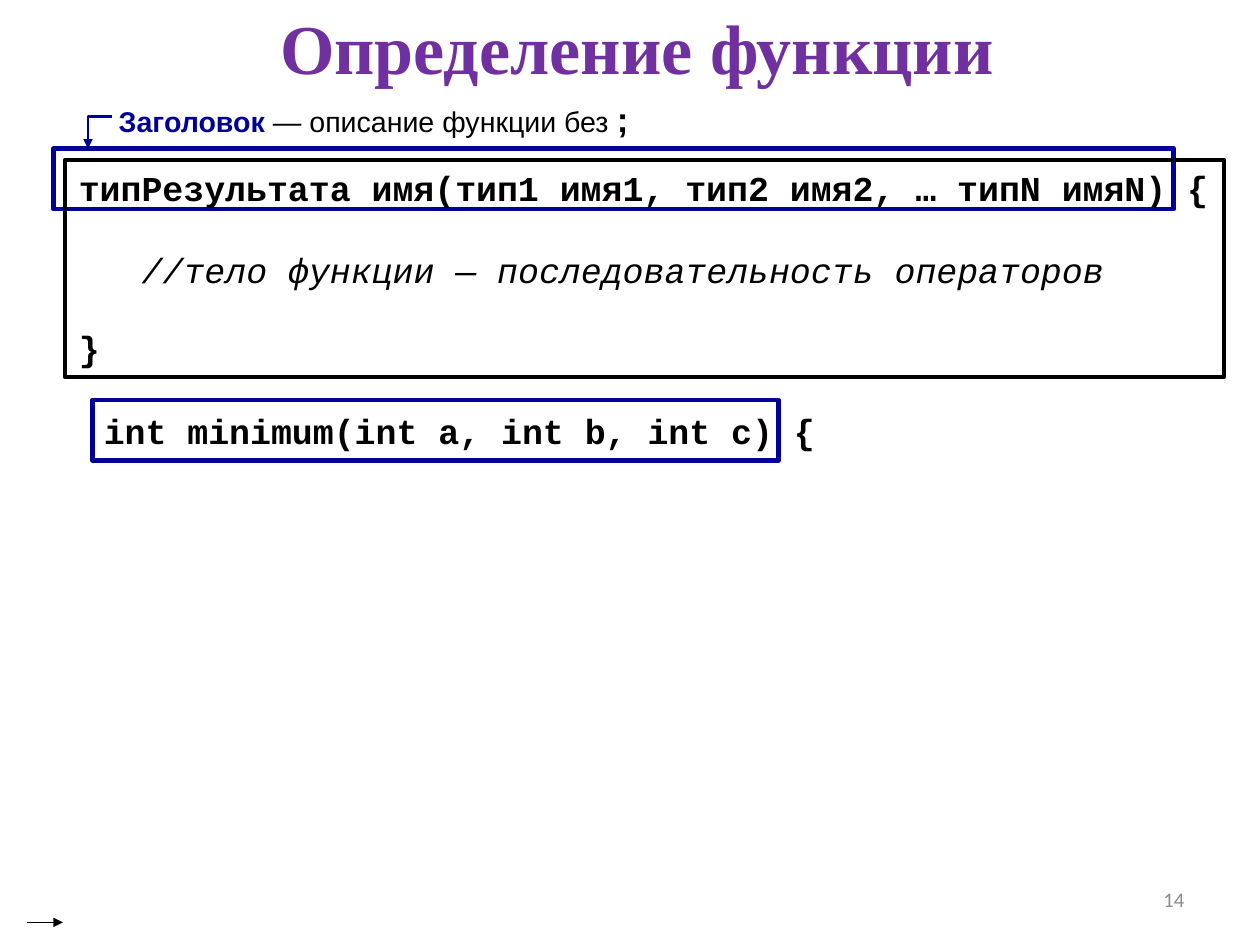
from lxml import etree
from pptx import Presentation
from pptx.dml.color import RGBColor
from pptx.enum.shapes import MSO_CONNECTOR, MSO_SHAPE
from pptx.enum.text import MSO_ANCHOR as ANCHOR, PP_ALIGN as ALIGN
from pptx.oxml.ns import qn
from pptx.util import Inches, Pt

CM_PER_INCH = 2.54
NAVY, BLACK, PURPLE, GRAY = "000099", "000000", "7030A0", "8C8C8C"
TITLE = dict(name="Times New Roman", size=Pt(44.1), bold=True, color=PURPLE)
NUMBER = dict(name="Calibri", size=Pt(13), color=GRAY)
LABEL = dict(name="Arial", size=Pt(18), color=BLACK)
CODE = dict(name="Courier New", size=Pt(22), bold=True, color=BLACK)
COMMENT = {**CODE, "bold": False, "italic": True}
CODE_INDENT = Inches(0.55)


def rgb(color):
    return RGBColor.from_string(color)


def set_attrs(obj, **values):
    for name, value in values.items():
        setattr(obj, name, value)


def set_line(sp, color, width, arrow=False):
    sp.line.color.rgb = rgb(color)
    sp.line.width = Pt(width)
    if arrow:
        ln = sp.line._get_or_add_ln()
        etree.SubElement(ln, qn("a:tailEnd"), type="triangle")


def write(tf, paragraphs, margins, wrap=True, anchor=ANCHOR.TOP):
    """Fill a frame; each paragraph is (runs, paragraph format, indent)."""
    left, top, right, bottom = map(Inches, margins)
    set_attrs(tf, margin_left=left, margin_top=top, margin_right=right,
              margin_bottom=bottom, word_wrap=wrap, vertical_anchor=anchor)
    for i, (runs, layout, indent) in enumerate(paragraphs):
        p = tf.add_paragraph() if i else tf.paragraphs[0]
        set_attrs(p, **layout)
        if indent:
            p._p.get_or_add_pPr().set("marL", str(indent))
        for text, style in runs:
            r = p.add_run()
            r.text = text
            font = dict(style)
            r.font.color.rgb = rgb(font.pop("color"))
            set_attrs(r.font, **font)


def add_text(slide, box, paragraphs, margins, **frame):
    sp = slide.shapes.add_textbox(*map(Inches, box))
    write(sp.text_frame, paragraphs, margins, **frame)


def add_frame(slide, box, color, width=3):
    sp = slide.shapes.add_shape(MSO_SHAPE.RECTANGLE, *map(Inches, box))
    sp.shadow.inherit = False
    sp.fill.background()
    set_line(sp, color, width)
    return sp


def add_elbow_arrow(slide, points, color, width):
    start, *rest = [tuple(map(Inches, point)) for point in points]
    builder = slide.shapes.build_freeform(*start)
    builder.add_line_segments(rest, close=False)
    sp = builder.convert_to_shape()
    sp.shadow.inherit = False
    sp.fill.background()
    set_line(sp, color, width, arrow=True)


def add_arrow(slide, start, end, color, width):
    sp = slide.shapes.add_connector(
        MSO_CONNECTOR.STRAIGHT, *map(Inches, start + end))
    set_line(sp, color, width, arrow=True)
    etree.SubElement(sp._element.spPr, qn("a:effectLst"))


def main():
    prs = Presentation()
    prs.slide_width = Inches(28 / CM_PER_INCH)
    prs.slide_height = Inches(21 / CM_PER_INCH)
    slide = prs.slides.add_slide(prs.slide_layouts[6])

    add_text(slide, (0.93, 0.04, 9.29, 0.75),
             [([("Определение функции", TITLE)], dict(alignment=ALIGN.CENTER), 0)],
             (0.11, 0.04, 0.11, 0.06), anchor=ANCHOR.MIDDLE)
    add_text(slide, (7.9, 7.65, 2.57, 0.44),
             [([("14", NUMBER)], dict(alignment=ALIGN.RIGHT), 0)],
             (0.11, 0.06, 0.11, 0.06), anchor=ANCHOR.MIDDLE)

    add_frame(slide, (0.47, 1.3, 9.8, 0.53), NAVY)
    label = [("Заголовок", {**LABEL, "bold": True, "color": NAVY}),
             (" — описание функции без ", LABEL),
             (";", {**LABEL, "bold": True, "size": Pt(22)})]
    add_text(slide, (0.94, 0.82, 5.15, 0.44),
             [(label, dict(line_spacing=0.93), 0)],
             (0.1, 0.07, 0.1, 0.05), wrap=False)
    add_elbow_arrow(slide, [(0.98, 1.02), (0.77, 1.02), (0.77, 1.3)], NAVY, 1.5)

    code = dict(alignment=ALIGN.LEFT, line_spacing=0.94)
    definition = add_frame(slide, (0.57, 1.4, 10.14, 1.9), BLACK, 2.83)
    write(definition.text_frame, [
        ([("типРезультата имя(тип1 имя1, тип2 имя2, … типN имяN) {", CODE)],
         code, 0),
        ([("//тело функции — последовательность операторов", COMMENT)],
         {**code, "space_before": Pt(26.7)}, CODE_INDENT),
        ([("}", CODE)], {**code, "space_before": Pt(24.5)}, 0),
    ], (0.12, 0.09, 0.12, 0.07), wrap=False)

    add_text(slide, (0.81, 3.54, 9.57, 4.03),
             [([("int minimum(int a, int b, int c) {", CODE)], code, 0)],
             (0.1, 0.07, 0.1, 0.05))
    add_frame(slide, (0.81, 3.5, 6, 0.53), NAVY)
    add_arrow(slide, (0.24, 8.07), (0.55, 8.07), BLACK, 0.75)

    prs.save("out.pptx")


if __name__ == "__main__":
    main()
